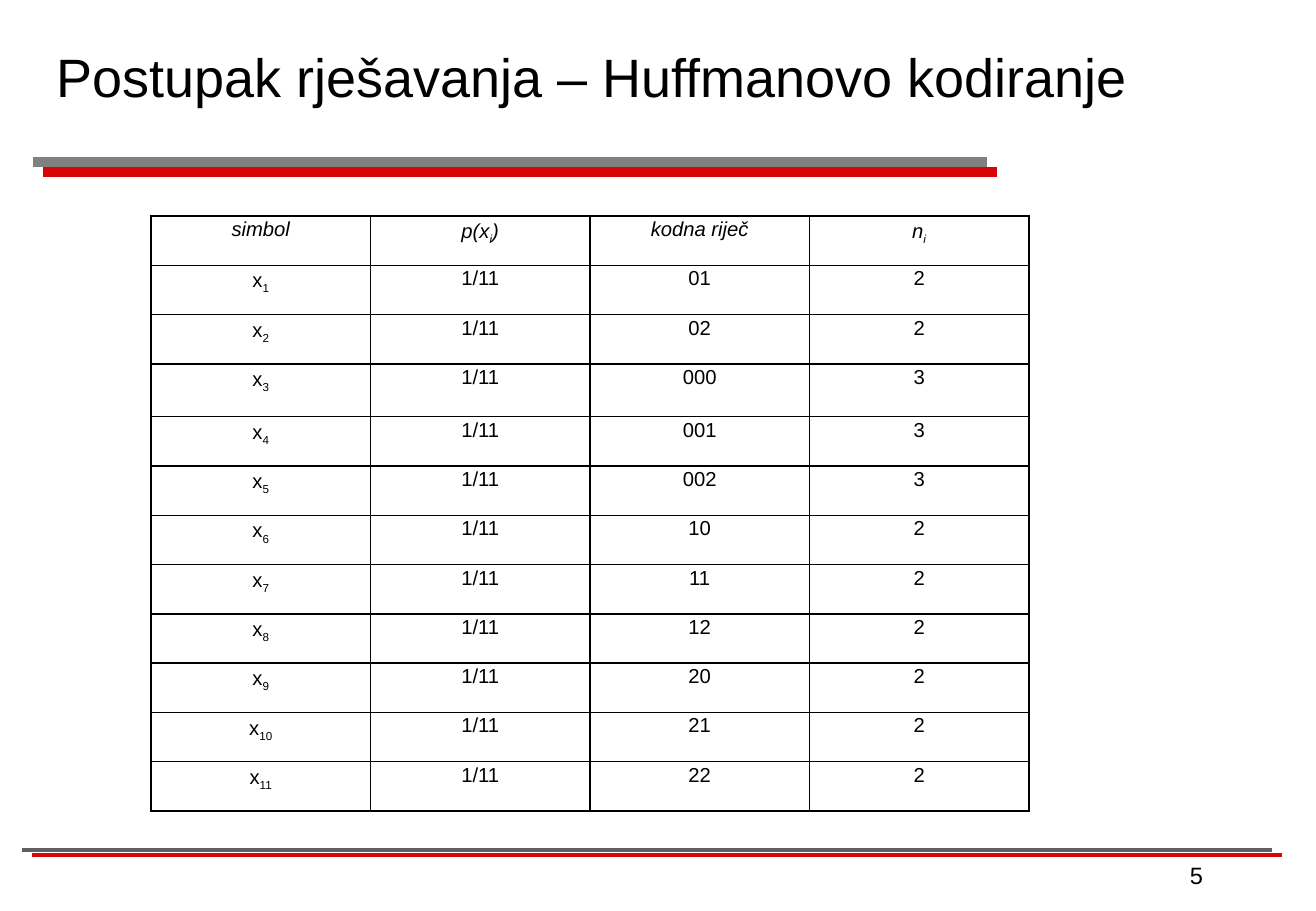
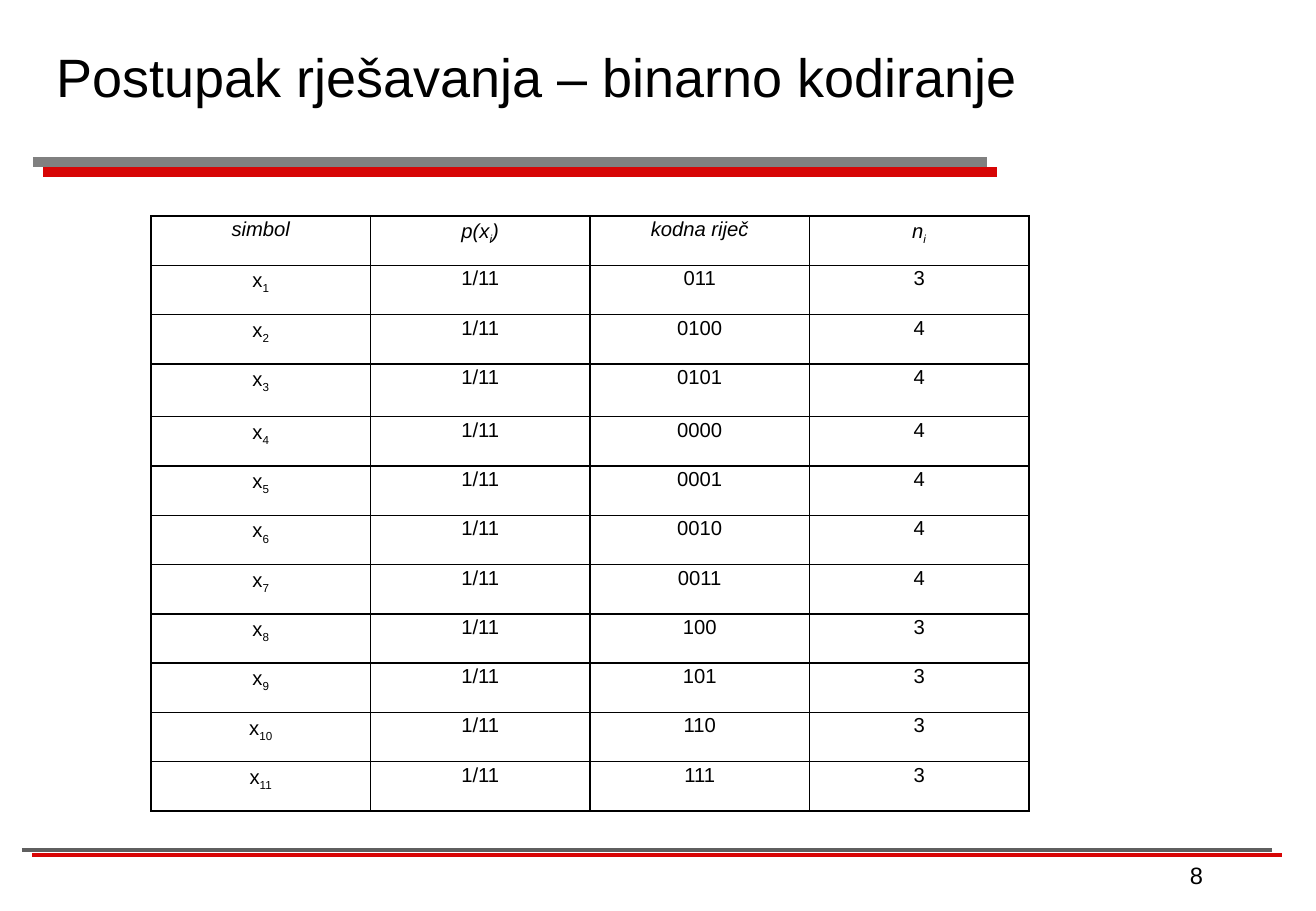
import pptx
import pptx.dml.color
import pptx.enum.shapes
import pptx.enum.text
import pptx.oxml
import pptx.oxml.ns
import pptx.util

EMU_PER_PX = 914400 / 121.5
ALIGN = pptx.enum.text.PP_ALIGN
ANCHOR = pptx.enum.text.MSO_ANCHOR
TITLE_ONLY = 5


def px(length):
    return pptx.util.Emu(round(length * EMU_PER_PX))


def color(hex_value):
    return pptx.dml.color.RGBColor.from_string(hex_value)


def parse(xml):
    namespace = pptx.oxml.ns.nsdecls("a")
    return pptx.oxml.parse_xml(xml.replace(" NS", " " + namespace, 1))


def write(frame, text, size=12, italic=False, align=ALIGN.LEFT, spacing=None):
    paragraph = frame.paragraphs[0]
    paragraph.alignment = align
    if spacing:
        paragraph.line_spacing = spacing
    for index, part in enumerate(text.split("_")):
        if not part:
            continue
        run = paragraph.add_run()
        run.text = part
        run.font.name = Deck.FONT
        run.font.size = pptx.util.Pt(size)
        run.font.italic = italic
        run.font.color.rgb = color(Deck.INK)
        if index % 2:
            run._r.get_or_add_rPr().set("baseline", "-25000")


class Deck:
    FONT = "Arial"
    INK = "000000"
    ACCENT = "D70505"
    TITLE_RULE = "808080"
    FOOTER_RULE = "5F5F5F"

    def __init__(self, width, height):
        self.presentation = pptx.Presentation()
        self.presentation.slide_width = px(width)
        self.presentation.slide_height = px(height)
        self.slide = None

    def start_slide(self, title, number):
        layout = self.presentation.slide_layouts[TITLE_ONLY]
        self.slide = self.presentation.slides.add_slide(layout)
        self.rule(33, 987, 162, 6, self.TITLE_RULE, 8.5, 45)
        self.rule(22, 1272, 850, 2.25, self.FOOTER_RULE, 6.7, 27)
        self.page_number(number)
        self.title(title)

    def title(self, text):
        heading = self.slide.shapes.title
        heading.left, heading.top = px(44), px(0)
        heading.width, heading.height = px(1119), px(152)
        frame = heading.text_frame
        frame.word_wrap = True
        frame.auto_size = pptx.enum.text.MSO_AUTO_SIZE.NONE
        frame.vertical_anchor = ANCHOR.MIDDLE
        write(frame, text, size=32)

    def rule(self, left, right, y, weight, line_color, distance, angle):
        line = self.slide.shapes.add_connector(
            pptx.enum.shapes.MSO_CONNECTOR.STRAIGHT,
            px(left), px(y), px(right), px(y))
        line.line.width = pptx.util.Pt(weight)
        line.line.color.rgb = color(line_color)
        line._element.spPr.append(parse(
            f'<a:effectLst NS><a:outerShdw dist="{pptx.util.Pt(distance)}" '
            f'dir="{angle * 60000}" algn="ctr" rotWithShape="0">'
            f'<a:srgbClr val="{self.ACCENT}"/></a:outerShdw></a:effectLst>'))

    def page_number(self, number):
        box = self.slide.shapes.add_textbox(px(1104), px(860), px(111), px(30))
        frame = box.text_frame
        frame.word_wrap = True
        frame.margin_top = frame.margin_bottom = 0
        frame.vertical_anchor = ANCHOR.MIDDLE
        write(frame, str(number), size=14, align=ALIGN.RIGHT)

    def border(self, cell):
        properties = cell._tc.get_or_add_tcPr()
        for side in "LRTB":
            properties.append(parse(
                f'<a:ln{side} NS w="{pptx.util.Pt(1)}"><a:solidFill>'
                f'<a:srgbClr val="{self.INK}"/></a:solidFill></a:ln{side}>'))

    def table(self, rows, width=878, height=595, tall_row=3, tall_height=53):
        column_count = len(rows[0])
        table = self.slide.shapes.add_table(
            len(rows), column_count, px(151), px(216), px(width), px(height)).table
        table.first_row = table.horz_banding = False
        for column in table.columns:
            column.width = px(width / column_count)
        row_height = (height - tall_height) / (len(rows) - 1)
        for row_index, values in enumerate(rows):
            is_tall = row_index == tall_row
            table.rows[row_index].height = px(tall_height if is_tall else row_height)
            for column_index, value in enumerate(values):
                cell = table.cell(row_index, column_index)
                self.border(cell)
                cell.fill.background()
                write(cell.text_frame, value, italic=row_index == 0,
                      align=ALIGN.CENTER, spacing=0.8)

    def code_table(self, codes):
        header = ["simbol", "p(x_i_)", "kodna riječ", "n_i_"]
        symbols = [[f"x_{index}_", f"1/{len(codes)}", code, str(len(code))]
                   for index, code in enumerate(codes, 1)]
        self.table([header] + symbols)


def main():
    deck = Deck(1316, 911)
    codings = [
        ("Huffmanovo", 5, "01 02 000 001 002 10 11 12 20 21 22"),
        ("binarno", 8, "011 0100 0101 0000 0001 0010 0011 100 101 110 111"),
    ]
    for coding, number, codes in codings:
        deck.start_slide(f"Postupak rješavanja – {coding} kodiranje", number)
        deck.code_table(codes.split())
    deck.presentation.save("out.pptx")


if __name__ == "__main__":
    main()
